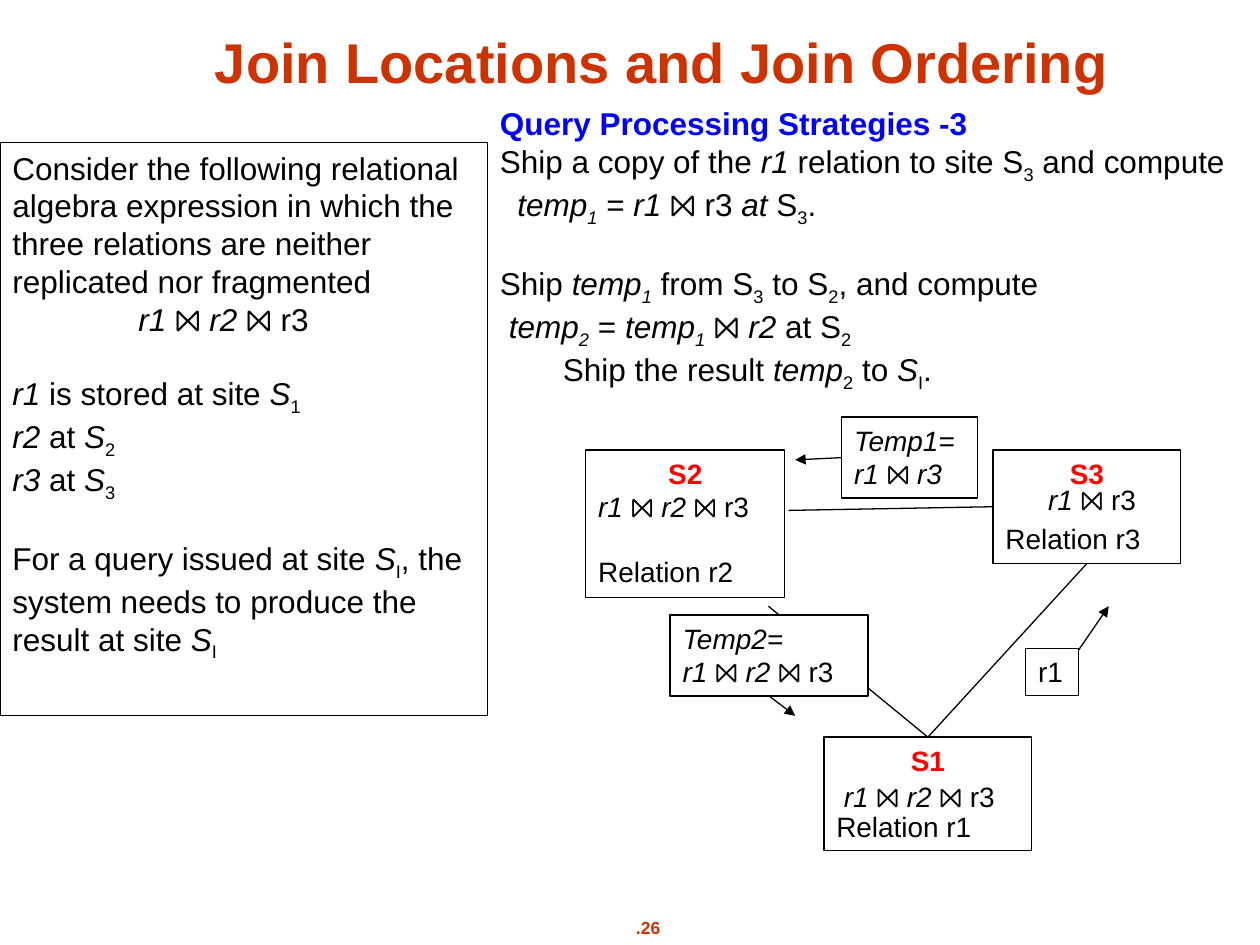
from lxml import etree
from pptx import Presentation
from pptx import util as u
from pptx.dml.color import RGBColor
from pptx.enum import shapes, text
from pptx.oxml import ns

FONT = "Arial"
RUST = RGBColor(0xCC, 0x33, 0x00)
BLUE = RGBColor(0x00, 0x00, 0xFF)
RED = RGBColor(0xFF, 0x00, 0x00)
BLACK = RGBColor(0x00, 0x00, 0x00)
WHITE = RGBColor(0xFF, 0xFF, 0xFF)
CENTER = text.PP_ALIGN.CENTER
TOP, LEFT, BOTTOM = 0, 1, 2
JOIN_ALL = "*r1* ⨝ *r2* ⨝ r3"


def line(content, size=18, color=BLACK, bold=False, align=text.PP_ALIGN.LEFT,
         before=0, indent=0):
    """Describe one paragraph; *...* marks italics and _..._ a subscript."""
    return dict(content=content, size=size, color=color, bold=bold, align=align,
                before=before, indent=indent)


def write_line(paragraph, content, size, color, bold, align, before, indent):
    paragraph.alignment = align
    if before:
        paragraph.space_before = u.Pt(before)
    if indent:
        properties = paragraph._p.get_or_add_pPr()
        properties.set("marL", str(u.Cm(indent)))
        properties.set("indent", "0")
    for i, part in enumerate(content.split("*")):
        for j, piece in enumerate(part.split("_")):
            if not piece:
                continue
            run = paragraph.add_run()
            run.text = piece
            font = run.font
            font.name, font.size, font.bold = FONT, u.Pt(size), bold
            font.italic = i % 2 == 1
            font.color.rgb = color
            if j % 2:
                run._r.get_or_add_rPr().set("baseline", "-25000")


class SlideBuilder:
    def __init__(self, slide, line_color=BLACK, line_width=0.75):
        self.slide = slide
        self.line_color = line_color
        self.line_width = u.Pt(line_width)

    def fill_text(self, shape, lines, anchor):
        frame = shape.text_frame
        frame.word_wrap = True
        frame.vertical_anchor = anchor
        for i, settings in enumerate(lines):
            paragraph = frame.add_paragraph() if i else frame.paragraphs[0]
            write_line(paragraph, **settings)

    def label(self, place, *lines, anchor=text.MSO_ANCHOR.TOP):
        shape = self.slide.shapes.add_textbox(*map(u.Cm, place))
        self.fill_text(shape, lines, anchor)
        return shape

    def box(self, place, *lines, fill=None):
        shape = self.slide.shapes.add_shape(
            shapes.MSO_SHAPE.RECTANGLE, *map(u.Cm, place))
        shape.shadow.inherit = False
        if fill is None:
            shape.fill.background()
        else:
            shape.fill.solid()
            shape.fill.fore_color.rgb = fill
        shape.line.color.rgb = self.line_color
        shape.line.width = self.line_width
        self.fill_text(shape, lines, text.MSO_ANCHOR.TOP)
        return shape

    def connector(self, start=(0, 0), end=(0, 0), begin_at=None, end_at=None,
                  arrow=False):
        """Points are in cm; begin_at and end_at are (shape, side) pairs."""
        link = self.slide.shapes.add_connector(
            shapes.MSO_CONNECTOR.STRAIGHT, *map(u.Cm, (*start, *end)))
        if begin_at:
            link.begin_connect(*begin_at)
        if end_at:
            link.end_connect(*end_at)
        link.line.color.rgb = self.line_color
        link.line.width = self.line_width
        if arrow:
            etree.SubElement(link.line._get_or_add_ln(), ns.qn("a:tailEnd"),
                             type="triangle")
        etree.SubElement(link._element.spPr, ns.qn("a:effectLst"))
        return link


def main():
    presentation = Presentation()
    presentation.slide_width = u.Cm(25.4)
    presentation.slide_height = u.Cm(19.05)
    slide = presentation.slides.add_slide(presentation.slide_layouts[6])
    builder = SlideBuilder(slide)

    # Page number and title
    builder.label((11.91, 18.36, 2.31, 0.69),
                  line(".26", 10, RUST, True, CENTER))
    builder.label((2.13, 0.33, 22.43, 1.7),
                  line("Join Locations and Join Ordering", 32, RUST, True, CENTER),
                  anchor=text.MSO_ANCHOR.BOTTOM)

    # Problem statement
    gap = 20.7
    builder.box(
        (0, 2.87, 9.83, 11.56),
        line("Consider the following relational algebra expression in which the "
             "three relations are neither replicated nor fragmented"),
        line(JOIN_ALL, indent=2.54),
        line("*r1* is stored at site *S*_1_", before=gap),
        line("*r2* at *S*_2_"),
        line("*r3* at *S*_3_"),
        line("For a query issued at site *S*_I_, the system needs to produce "
             "the result at site *S*_I_", before=gap))

    # Strategy steps
    builder.label(
        (9.83, 1.98, 16.89, 6.12),
        line("Query Processing Strategies -3", color=BLUE, bold=True),
        line("Ship a copy of the *r1* relation to site S_3_ and compute"),
        line("*temp_1_* = *r1* ⨝ r3 *at* S_3_.", indent=0.35),
        line("Ship *temp_1_* from S_3_ to S_2_, and compute", before=gap),
        line("*temp_2_* = *temp_1_* ⨝ *r2* at S_2_", indent=0.18),
        line("Ship the result *temp*_2_ to *S*_I_.", indent=1.27))

    # Sites
    row = 18.4
    sites = {}
    for number, place, blank_rows in (
            (2, (11.81, 9.07, 4.01, 2.97), 2),
            (1, (16.61, 14.86, 4.19, 2.29), 1),
            (3, (20.02, 9.07, 3.78, 2.29), 1)):
        sites[number] = builder.box(
            place, line(f"S{number}", 16, RED, True, CENTER),
            line(f"Relation r{number}", 16, before=blank_rows * row))

    # Links between sites
    builder.connector(start=(15.9, 10.29), end_at=(sites[3], LEFT))
    builder.connector(begin_at=(sites[3], BOTTOM), end_at=(sites[1], TOP))
    builder.connector(start=(15.49, 12.22), end_at=(sites[1], TOP))

    # Joins available at each site
    for place, content in (((16.76, 15.6, 4.11, 0.94), JOIN_ALL),
                           ((11.81, 9.75, 3.86, 0.94), JOIN_ALL),
                           ((20.88, 9.6, 3.15, 0.94), "*r1* ⨝ r3")):
        builder.label(place, line(content, 16))

    # Shipped relations with their directions
    builder.box((20.68, 13.08, 1.07, 0.94), line("r1", 16))
    builder.connector(start=(21.74, 13.11), end=(22.35, 12.22), arrow=True)
    temp1 = builder.box((16.97, 8.41, 2.74, 1.63),
                        line("*Temp1=*", 16), line("*r1* ⨝ *r3*", 16))
    builder.connector(begin_at=(temp1, LEFT), end=(16.03, 9.27), arrow=True)
    temp2 = builder.box((13.51, 12.4, 3.99, 1.63),
                        line("*Temp2=*", 16), line(JOIN_ALL, 16), fill=WHITE)
    builder.connector(begin_at=(temp2, BOTTOM), end=(16.03, 14.43), arrow=True)

    presentation.save("out.pptx")


if __name__ == "__main__":
    main()
